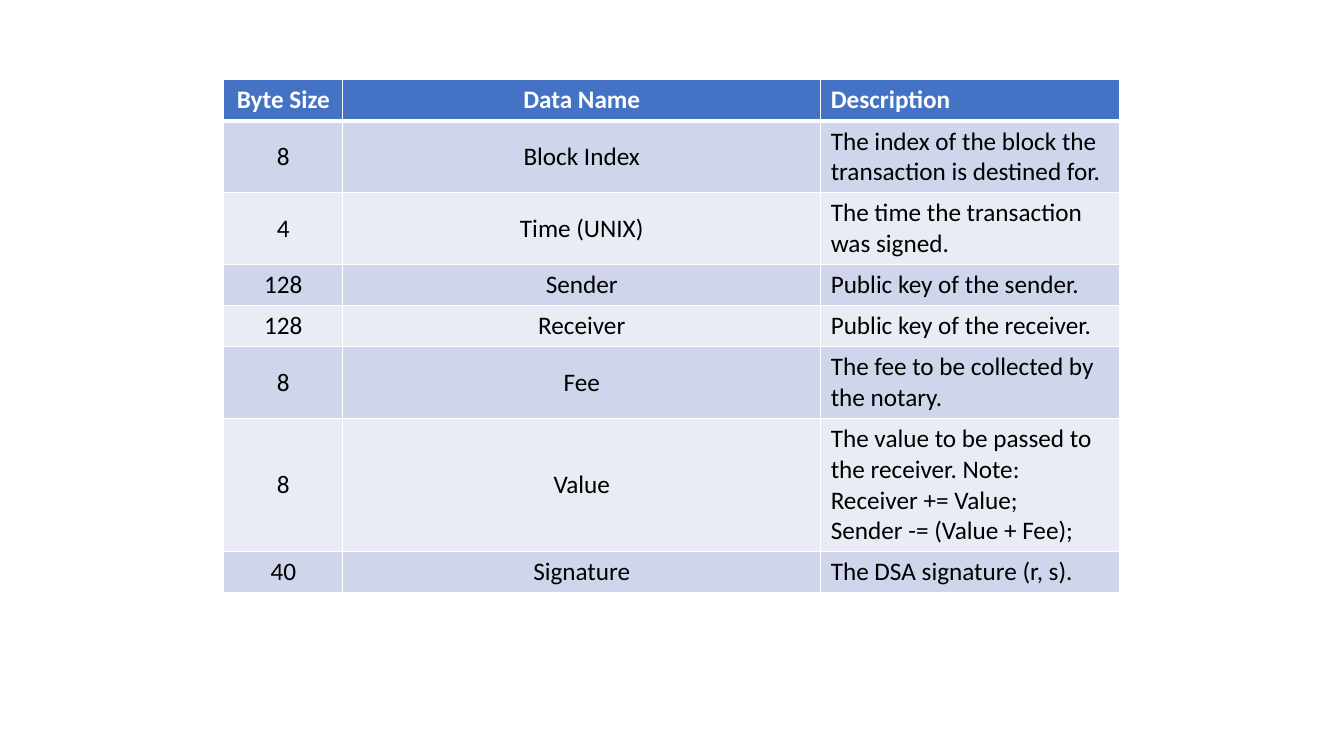
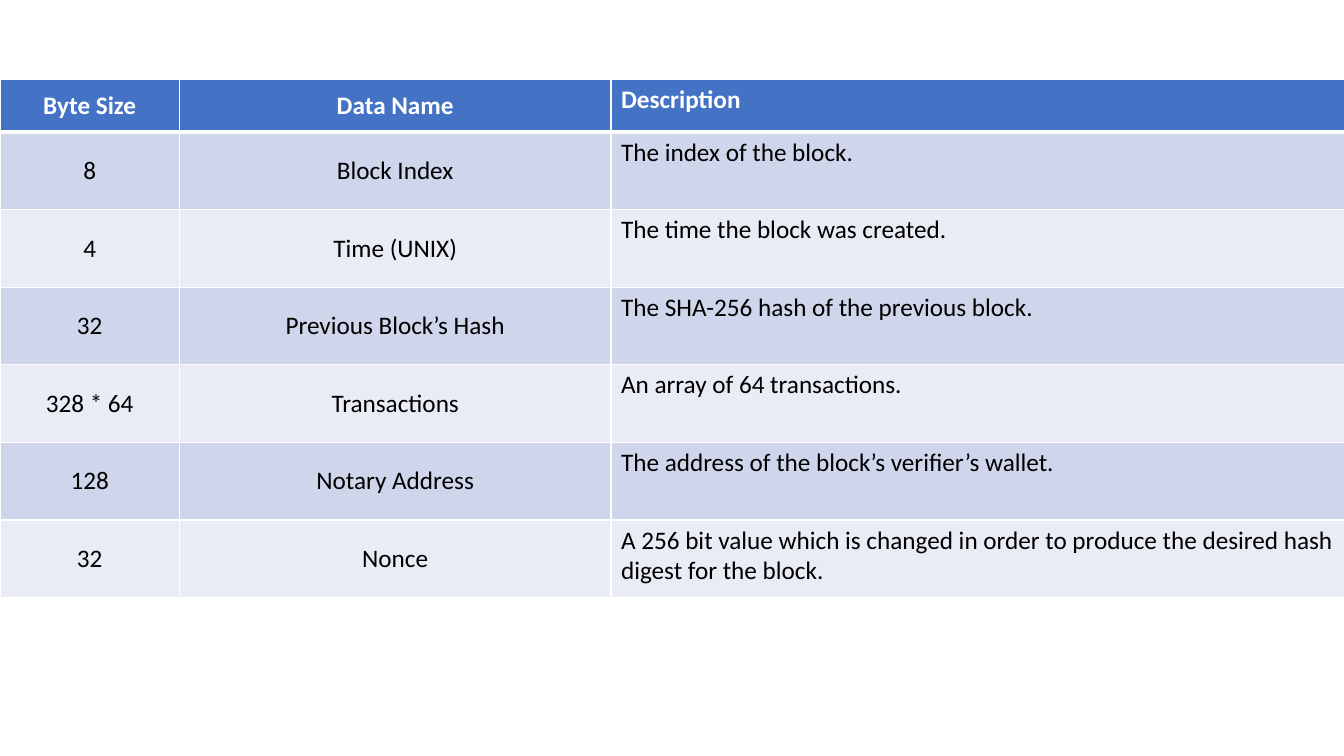
from lxml import etree
from pptx import Presentation
from pptx.dml.color import RGBColor
from pptx.enum.text import MSO_ANCHOR, PP_ALIGN
from pptx.oxml.ns import qn
from pptx.util import Inches, Pt

# Shared style
FONT, SIZE = "Calibri", Pt(18)
HEADER_BLUE = RGBColor(0x44, 0x72, 0xC4)
BANDS = (RGBColor(0xCF, 0xD5, 0xEA), RGBColor(0xE9, 0xEB, 0xF5))
WHITE = RGBColor(0xFF, 0xFF, 0xFF)
BLACK = RGBColor(0x00, 0x00, 0x00)
TABLE_TOP = 0.79
HEADER = ("Byte Size", "Data Name", "Description")

# Field lists
TRANSACTION_FIELDS = [
    ("8", "Block Index", "The index of the block the transaction is destined for."),
    ("4", "Time (UNIX)", "The time the transaction was signed."),
    ("128", "Sender", "Public key of the sender."),
    ("128", "Receiver", "Public key of the receiver."),
    ("8", "Fee", "The fee to be collected by the notary."),
    ("8", "Value", "The value to be passed to the receiver. Note: \n"
                   "Receiver += Value;\nSender -= (Value + Fee);"),
    ("40", "Signature", "The DSA signature (r, s)."),
]
BLOCK_FIELDS = [
    ("8", "Block Index", "The index of the block."),
    ("4", "Time (UNIX)", "The time the block was created."),
    ("32", "Previous Block’s Hash", "The SHA-256 hash of the previous block."),
    ("328 * 64", "Transactions", "An array of 64 transactions."),
    ("128", "Notary Address", "The address of the block’s verifier’s wallet."),
    ("32", "Nonce", "A 256 bit value which is changed in order to produce "
                    "the desired hash digest for the block."),
]


def set_borders(cell, bottom):
    """White rules on all sides; widths in points."""
    tc_pr = cell._tc.get_or_add_tcPr()
    for side, width in (("L", 1), ("R", 1), ("T", 1), ("B", bottom)):
        ln = etree.SubElement(tc_pr, qn(f"a:ln{side}"), w=str(Pt(width)))
        fill = etree.SubElement(ln, qn("a:solidFill"))
        etree.SubElement(fill, qn("a:srgbClr"), val=str(WHITE))


def format_cell(cell, text, fill, color, bold, centered):
    cell.fill.solid()
    cell.fill.fore_color.rgb = fill
    cell.vertical_anchor = MSO_ANCHOR.MIDDLE if centered else MSO_ANCHOR.TOP
    cell.text_frame.text = text
    for p in cell.text_frame.paragraphs:
        p.alignment = PP_ALIGN.CENTER if centered else PP_ALIGN.LEFT
        for r in p.runs:
            r.font.name, r.font.size = FONT, SIZE
            r.font.bold = bold
            r.font.color.rgb = color


def add_field_table(prs, fields, left, col_widths, header_height, row_height):
    """Add a slide with a banded table of fields."""
    s = prs.slides.add_slide(prs.slide_layouts[6])
    rows = [HEADER, *fields]
    heights = [header_height] + [row_height] * len(fields)
    table = s.shapes.add_table(
        len(rows), len(HEADER), Inches(left), Inches(TABLE_TOP),
        Inches(sum(col_widths)), Inches(sum(heights))).table
    for column, width in zip(table.columns, col_widths):
        column.width = Inches(width)
    for i, (values, height) in enumerate(zip(rows, heights)):
        table.rows[i].height = Inches(height)
        is_header = i == 0
        fill = HEADER_BLUE if is_header else BANDS[(i - 1) % 2]
        color = WHITE if is_header else BLACK
        for j, text in enumerate(values):
            cell = table.cell(i, j)
            set_borders(cell, bottom=3 if is_header else 1)
            format_cell(cell, text, fill, color, is_header, centered=j < 2)


def main():
    prs = Presentation()
    prs.slide_width, prs.slide_height = Inches(13.33), Inches(7.5)

    # Slide 1: transaction layout
    add_field_table(prs, TRANSACTION_FIELDS, 2.22, (1.18, 4.74, 2.96), 0.41, 0.41)
    # Slide 2: block layout
    add_field_table(prs, BLOCK_FIELDS, 0, (1.78, 4.28, 7.28), 0.52, 0.77)

    prs.save("out.pptx")


main()
